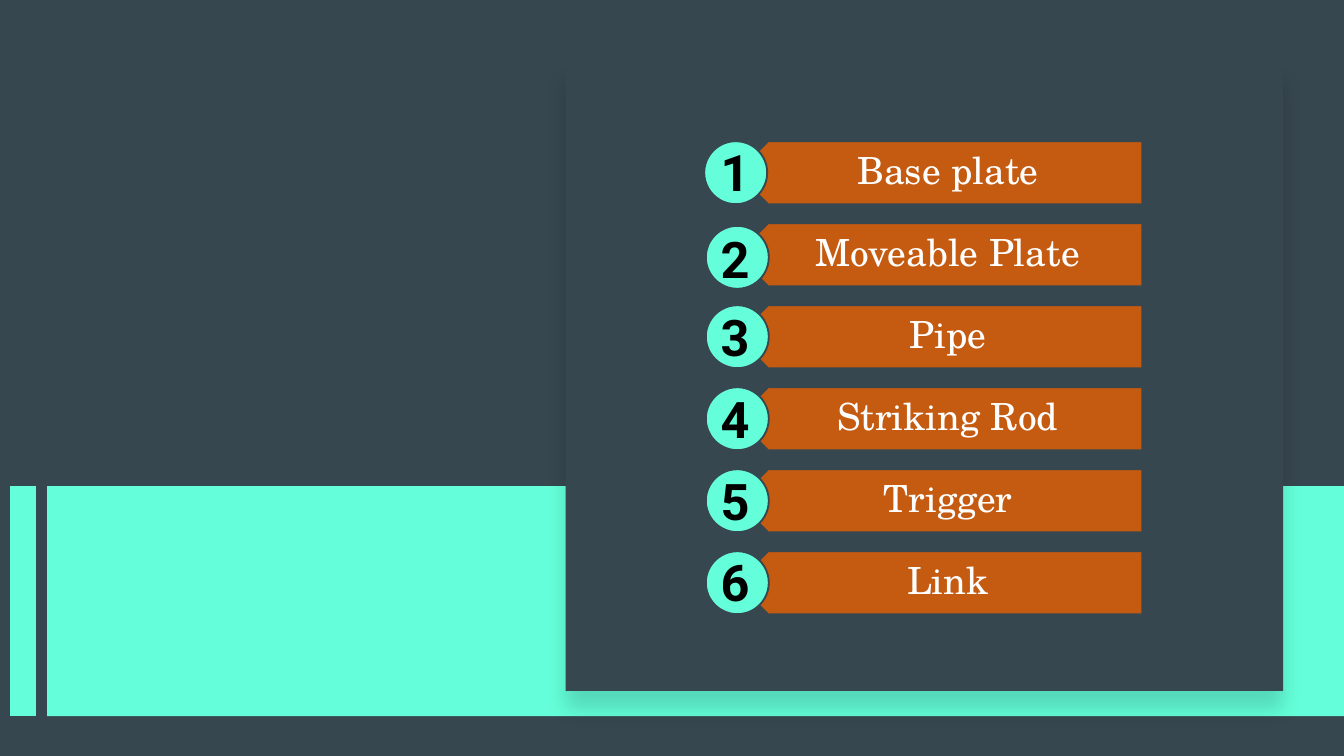
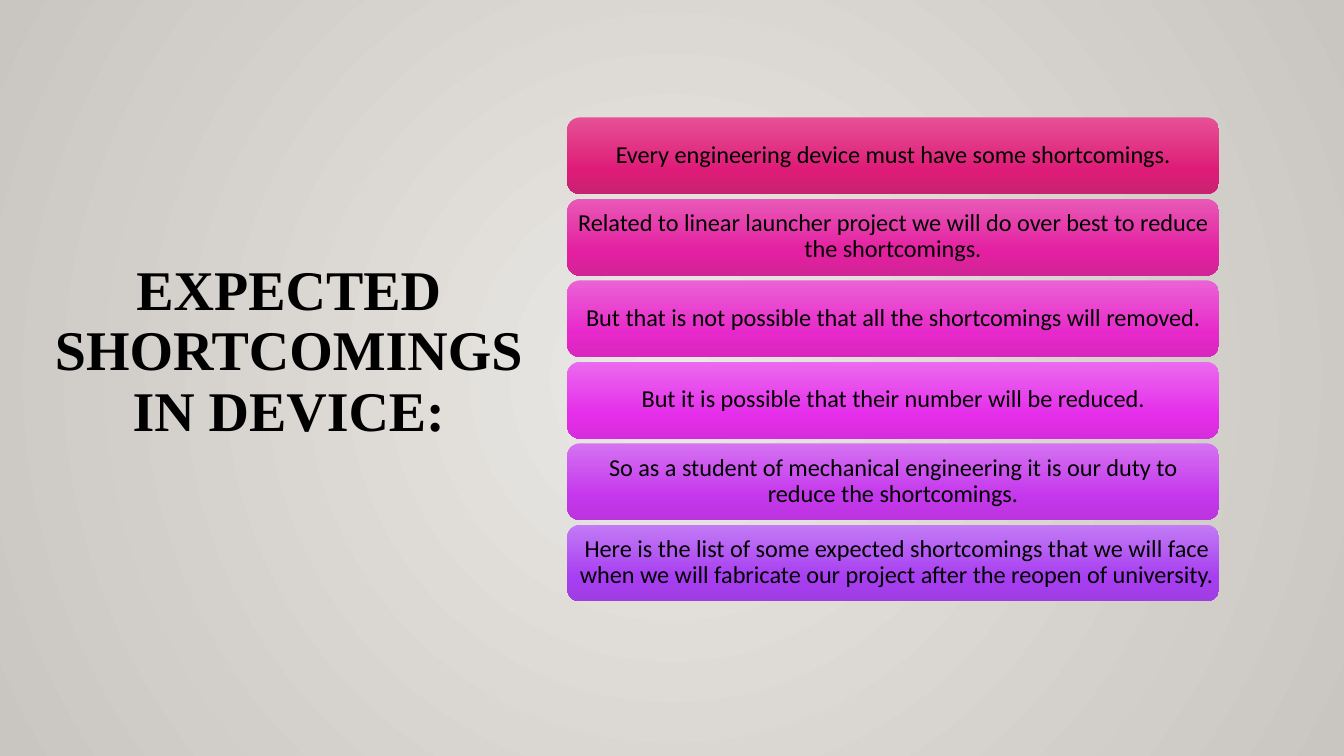
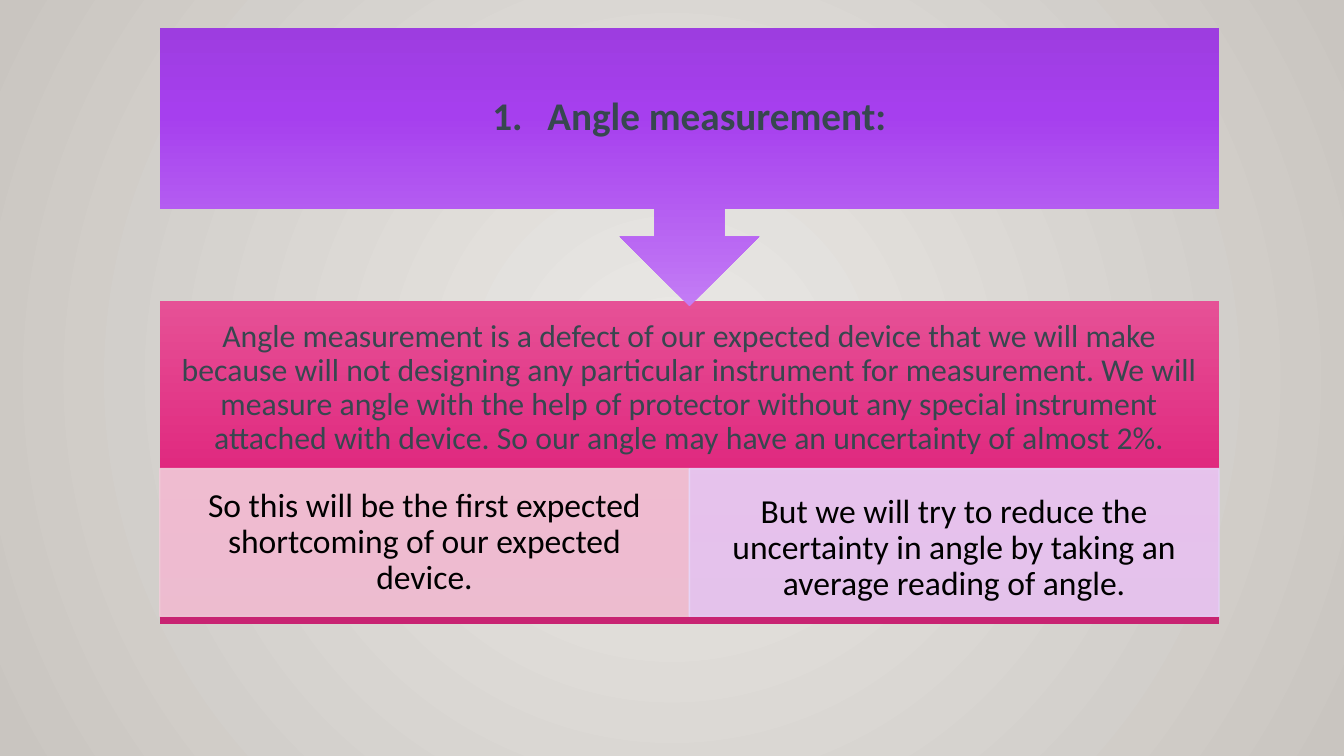
import pptx
import pptx.dml.color
import pptx.enum.shapes
import pptx.enum.text
import pptx.oxml
import pptx.oxml.ns
import pptx.util

Cm, Pt = pptx.util.Cm, pptx.util.Pt
RGB = pptx.dml.color.RGBColor
SHAPE = pptx.enum.shapes.MSO_SHAPE
ALIGN = pptx.enum.text.PP_ALIGN
ANCHOR = pptx.enum.text.MSO_ANCHOR
qn = pptx.oxml.ns.qn

# Colours
SLATE = RGB(0x37, 0x47, 0x4F)
MINT = RGB(0x64, 0xFF, 0xDA)
RUST = RGB(0xC5, 0x5A, 0x11)
WHITE = RGB(0xFF, 0xFF, 0xFF)
BLACK = RGB(0x00, 0x00, 0x00)
PALE_PINK = RGB(0xF1, 0xCD, 0xDA)
PALE_VIOLET = RGB(0xE7, 0xD4, 0xF9)

# Gradients: light, middle and dark stop
STOPS = (0, 69, 100)
PINK = ("E65196", "DE1B77", "C82372")
VIOLET = ("C37CF5", "A63FEE", "9D3DE0")
DOWNWARD = '<a:lin ang="5400000" scaled="0"/>'
FROM_CENTRE = ('<a:path path="circle"><a:fillToRect l="50000" t="50000" '
               'r="50000" b="50000"/></a:path>')

# Text styles; insets are left and right, top and bottom
PART = dict(font="TeX Gyre Schola", size=20, color=WHITE, inset=(0.47, 0.2))
NUMBER = dict(font="Roboto", size=27, color=BLACK, bold=True, inset=(0.18, 0.1),
              anchor=ANCHOR.TOP, align=ALIGN.LEFT, spacing=1.0)
TITLE = dict(font="Times New Roman", size=30, color=BLACK, bold=True,
             inset=(0.18, 0.1), anchor=ANCHOR.TOP)
NOTE = dict(font="Calibri", size=13, color=BLACK, inset=(0.13, 0.13))
HEADING = dict(font="Calibri", size=21, color=SLATE, bold=True, inset=(0.41, 0.41))
BODY = dict(font="Calibri", size=17, color=SLATE, inset=(0.33, 0.33))
REMARK = dict(font="Calibri", size=18, color=BLACK, inset=(0.43, 0.08))

# Content: part name, badge left, badge drop, number drop
PARTS = [
    ("Base plate", 13.31, 0, -0.1),
    ("Moveable Plate", 13.34, 0.05, 0),
    ("Pipe", 13.34, 0, -0.08),
    ("Striking Rod", 13.34, 0, -0.08),
    ("Trigger", 13.34, 0, -0.08),
    ("Link", 13.34, 0, -0.1),
]
SHORTCOMINGS_TITLE = "EXPECTED SHORTCOMINGS IN DEVICE:"
# Content: text, text width, gradient
SHORTCOMINGS = [
    ("Every engineering device must have some shortcomings.", 12.19, PINK),
    ("Related to linear launcher project we will do over best to reduce "
     "the shortcomings.", 12.19, ("E859B6", "E41FA1", "D12496")),
    ("But that is not possible that all the shortcomings will removed.",
     12.19, ("EC62D6", "E728CA", "D926BF")),
    ("But it is possible that their number will be reduced.",
     12.19, ("EB6AEF", "E52EEA", "D62CDD")),
    ("So as a student of mechanical engineering it is our duty to reduce "
     "the shortcomings.", 12.19, ("D573F2", "C537EC", "BB35DE")),
    ("Here is the list of some expected shortcomings that we will face when "
     "we will fabricate our project after the reopen of university.",
     12.32, ("C37BF5", "A73EF1", "9F3DE1")),
]
ANGLE_HEADING = "Angle measurement:"
ANGLE_TEXT = (
    "Angle measurement is a defect of our expected device that we will make "
    "because will not designing any particular instrument for measurement. "
    "We will measure angle with the help of protector without any special "
    "instrument attached with device. So our angle may have an uncertainty "
    "of almost 2%.")
# Content: text, text height, fill
ANGLE_REMARKS = [
    ("So this will be the first expected shortcoming of our expected device.",
     2.79, PALE_PINK),
    ("But we will try to reduce the uncertainty in angle by taking an average "
     "reading of angle.", 3.02, PALE_VIOLET),
]


def xml(tag, inner="", attrs=""):
    return pptx.oxml.parse_xml(
        f'<a:{tag} {pptx.oxml.ns.nsdecls("a")} {attrs}>{inner}</a:{tag}>')


def set_gradient(parent, stops, direction):
    """Replace the solid fill of parent by a gradient."""
    gs = "".join(f'<a:gs pos="{pos * 1000}"><a:srgbClr val="{c}"/></a:gs>'
                 for pos, c in stops)
    parent.replace(parent.find(qn("a:solidFill")),
                   xml("gradFill", f"<a:gsLst>{gs}</a:gsLst>{direction}",
                       'rotWithShape="1"'))


def add_slide(prs, layout, bg=None):
    s = prs.slides.add_slide(prs.slide_layouts[layout])
    s.background.fill.solid()
    s.background.fill.fore_color.rgb = bg or WHITE
    if bg is None:
        bg_pr = s.element.find(".//" + qn("p:bgPr"))
        set_gradient(bg_pr, [(0, "EBE9E6"), (100, "C9C5C0")], FROM_CENTRE)
    return s


def add_shape(s, kind, box, fill, line=None, width=1, rotation=0, adj=()):
    """Add a shape; fill is a colour or a tuple of gradient colours."""
    sp = s.shapes.add_shape(kind, *map(Cm, box))
    sp.shadow.inherit = False
    sp.rotation = rotation
    for i, value in enumerate(adj):
        sp.adjustments[i] = value
    sp.fill.solid()
    if isinstance(fill, RGB):
        sp.fill.fore_color.rgb = fill
    else:
        set_gradient(sp.element.spPr, zip(STOPS, fill), DOWNWARD)
    if line is None:
        sp.line.fill.background()
    else:
        sp.line.color.rgb = line
        sp.line.width = Pt(width)
    return sp


def write(sp, text, font, size, color, inset, bold=False, anchor=ANCHOR.MIDDLE,
          align=ALIGN.CENTER, spacing=0.9):
    tf = sp.text_frame
    tf.word_wrap = True
    tf.auto_size = pptx.enum.text.MSO_AUTO_SIZE.NONE
    tf.vertical_anchor = anchor
    tf.margin_left = tf.margin_right = Cm(inset[0])
    tf.margin_top = tf.margin_bottom = Cm(inset[1])
    p = tf.paragraphs[0]
    p.alignment = align
    p.line_spacing = spacing
    r = p.add_run()
    r.text = text
    r.font.name = font
    r.font.size = Pt(size)
    r.font.bold = bold
    r.font.color.rgb = color
    return p


def add_text(s, box, text, style):
    return write(s.shapes.add_textbox(*map(Cm, box)), text, **style)


def build_parts(prs):
    s = add_slide(prs, 6, SLATE)

    # Band and side bar
    band_top, band_height = 9.19, 4.35
    add_shape(s, SHAPE.RECTANGLE, (0.89, band_top, 24.51, band_height), MINT)
    bar = s.shapes.add_connector(
        pptx.enum.shapes.MSO_CONNECTOR.STRAIGHT,
        Cm(0.43), Cm(band_top), Cm(0.43), Cm(band_top + band_height))
    bar.line.color.rgb = MINT
    bar.line.width = Pt(14)
    bar.element.spPr.append(xml("effectLst"))

    # Card with soft shadow
    card = add_shape(s, SHAPE.RECTANGLE, (10.69, 1.22, 13.56, 11.84), SLATE)
    card.element.spPr.find(qn("a:effectLst")).append(xml(
        "outerShdw",
        '<a:srgbClr val="000000"><a:alpha val="15000"/></a:srgbClr>',
        f'blurRad="{Pt(11)}" dist="{Pt(10)}" dir="5400000" rotWithShape="0"'))

    # Numbered parts
    size = 1.19
    for i, (name, left, badge_drop, number_drop) in enumerate(PARTS):
        top = 2.67 + i * 1.55
        add_shape(s, SHAPE.PENTAGON, (13.92, top, 7.67, size), RUST, SLATE,
                  rotation=180, adj=[0.5])
        add_text(s, (14.22, top, 7.39, size), name, PART)
        add_shape(s, SHAPE.OVAL, (left, top + badge_drop, size, size), MINT, SLATE)
        add_text(s, (13.44, top + number_drop, 0.97, 1.35), str(i + 1), NUMBER)


def build_shortcomings(prs):
    s = add_slide(prs, 5)
    title = s.shapes.title
    title.left, title.top, title.width, title.height = map(Cm, (0.71, 4.85, 9.5, 5.56))
    write(title, SHORTCOMINGS_TITLE, **TITLE)

    # Stack of rounded bars
    for i, (text, text_width, colors) in enumerate(SHORTCOMINGS):
        top = 2.22 + i * 1.54
        add_shape(s, SHAPE.ROUNDED_RECTANGLE, (10.72, top, 12.32, 1.45), colors,
                  adj=[0.167])
        add_text(s, (10.78, top + 0.07, text_width, 1.3), text, NOTE)


def build_angle(prs):
    s = add_slide(prs, 6)
    left, width = 3.02, 20.02

    # Lower panel with its remarks side by side
    add_shape(s, SHAPE.RECTANGLE, (left, 5.69, width, 6.1), PINK)
    add_text(s, (left, 5.69, width, 3.3), ANGLE_TEXT, BODY)
    half = width / len(ANGLE_REMARKS)
    for i, (text, text_height, color) in enumerate(ANGLE_REMARKS):
        x = left + i * half
        cell = add_shape(s, SHAPE.RECTANGLE, (x, 8.86, half, 2.79), color, color, 0.75)
        for clr in cell.element.spPr.iter(qn("a:srgbClr")):
            clr.append(xml("alpha", attrs='val="90000"'))
        add_text(s, (x, 8.86, half, text_height), text, REMARK)

    # Heading arrow, numbered
    add_shape(s, SHAPE.UP_ARROW_CALLOUT, (left, 0.53, width, 5.26), VIOLET,
              rotation=180, adj=[0.25, 0.25, 0.25, 0.65])
    p = add_text(s, (left, 0.53, width, 3.4), ANGLE_HEADING, HEADING)
    p_pr = p._p.get_or_add_pPr()
    p_pr.set("marL", str(Cm(1.04)))
    p_pr.set("indent", str(-Cm(1.04)))
    p_pr.append(xml("buFont", attrs='typeface="+mj-lt"'))
    p_pr.append(xml("buAutoNum", attrs='type="arabicPeriod"'))


def main():
    prs = pptx.Presentation()
    prs.slide_width, prs.slide_height = Cm(25.4), Cm(14.29)
    build_parts(prs)
    build_shortcomings(prs)
    build_angle(prs)
    prs.save("out.pptx")


if __name__ == "__main__":
    main()
